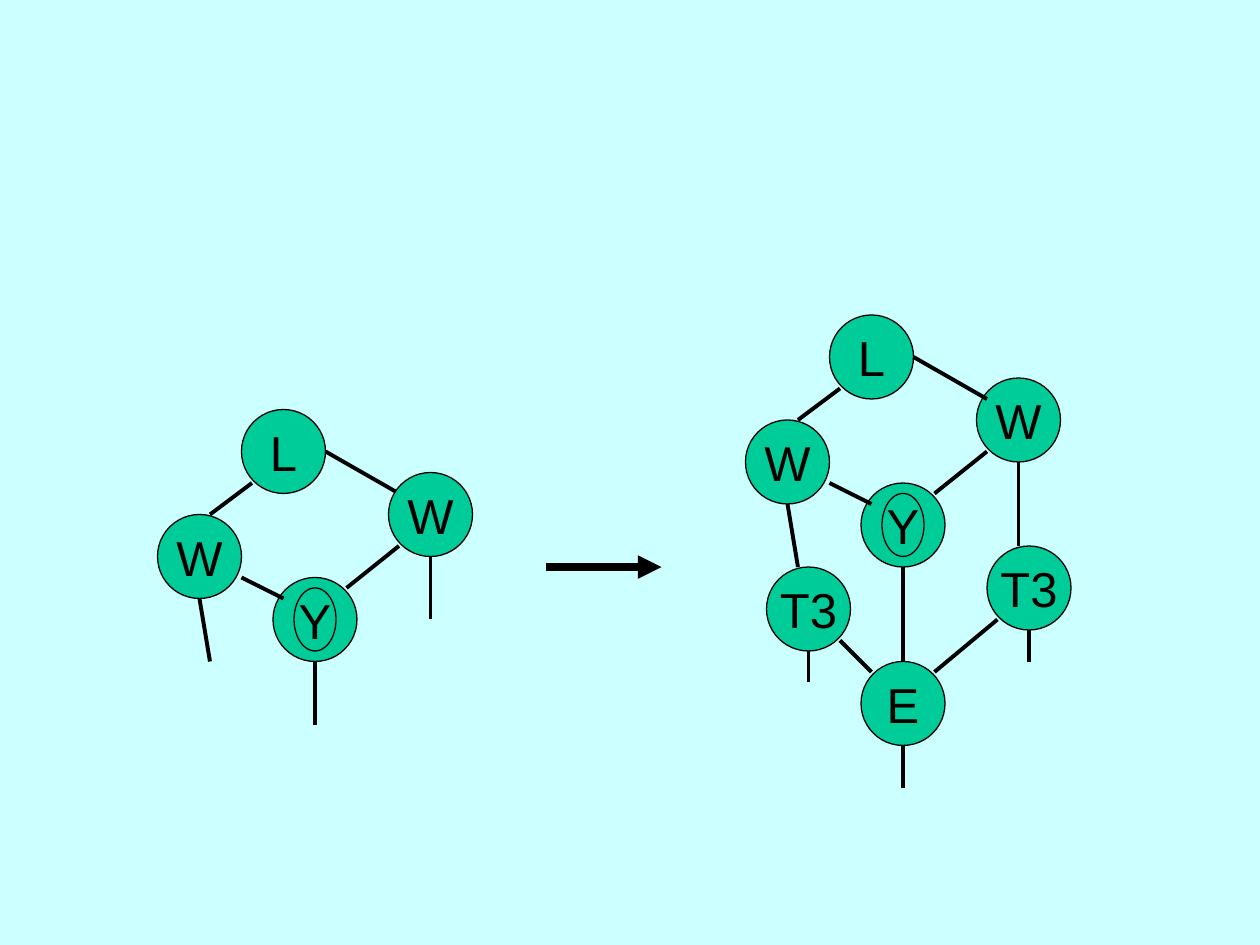
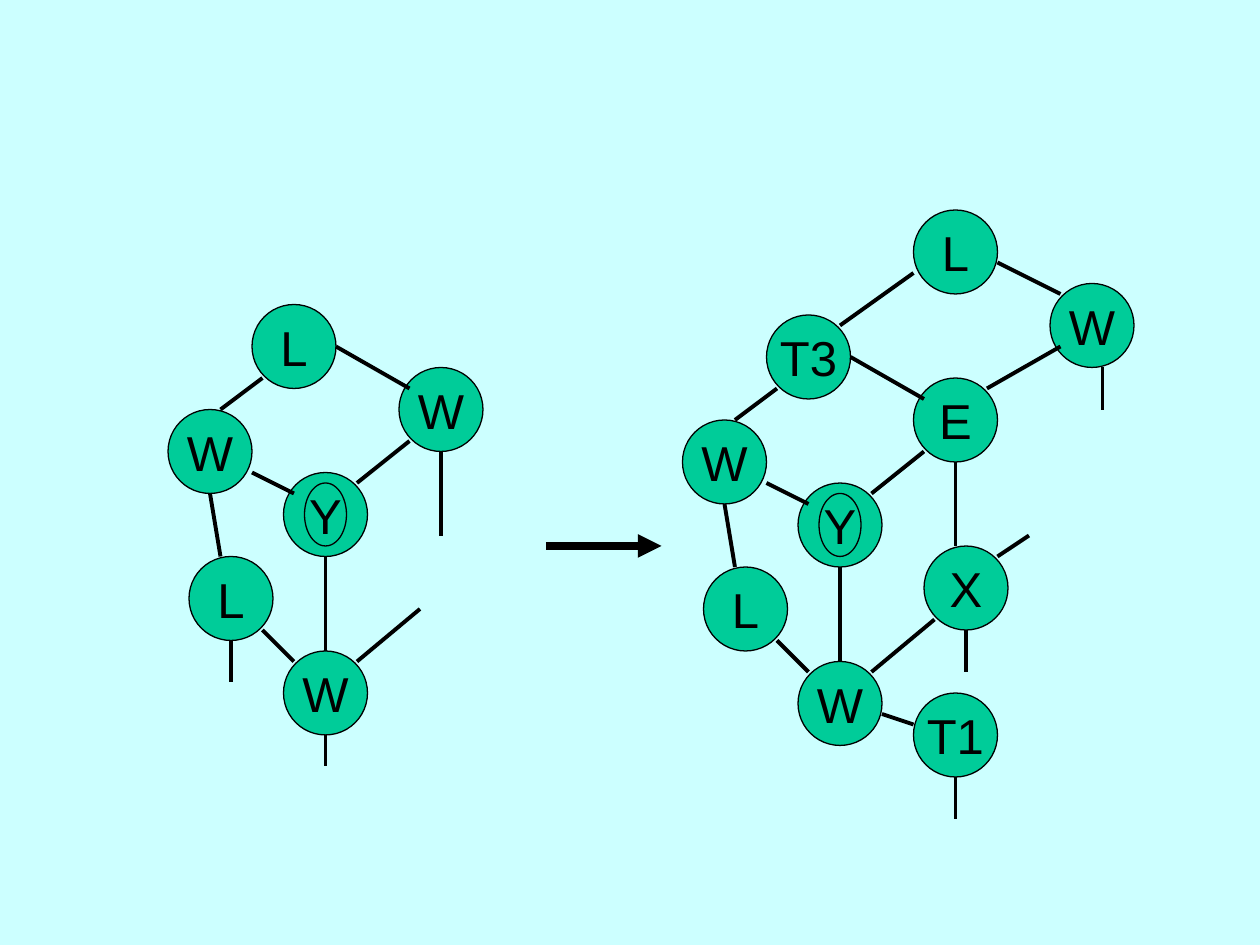
from lxml import etree
from pptx import Presentation
from pptx.dml.color import RGBColor
from pptx.enum.shapes import MSO_CONNECTOR, MSO_SHAPE
from pptx.enum.text import MSO_ANCHOR, PP_ALIGN
from pptx.oxml.ns import qn
from pptx.util import Inches, Pt

OVAL = MSO_SHAPE.OVAL
STRAIGHT = MSO_CONNECTOR.STRAIGHT
MIDDLE = MSO_ANCHOR.MIDDLE
CENTER = PP_ALIGN.CENTER

PALE_CYAN = RGBColor(0xCC, 0xFF, 0xFF)
GREEN = RGBColor(0x00, 0xCC, 0x99)
BLACK = RGBColor(0x00, 0x00, 0x00)

# Every position is a (column, row) on a grid of 120 by 90 cells
SLIDE_WIDTH, SLIDE_HEIGHT = Inches(10), Inches(7.5)
COLUMNS = 120
CELL = SLIDE_WIDTH // COLUMNS
NODE = 8

# Links of the graphs, relative to the top node
TOP_LINK = ((8, 4), (15, 8))
DIAMOND_LINKS = [
    ((-3, 10), (1, 7)),
    ((10, 17), (15, 13)),
    ((0, 16), (4, 18)),
    ((-4, 18), (-3, 24)),
]
LOWER_LINKS = [
    ((10, 34), (16, 29)),
    ((1, 31), (4, 34)),
]


def add_text(shape, text, size=28, font="Arial", color=BLACK, align=CENTER):
    frame = shape.text_frame
    frame.word_wrap = False
    frame.vertical_anchor = MIDDLE
    para = frame.paragraphs[0]
    para.alignment = align
    span = para.add_run()
    span.text = text
    span.font.size = Pt(size)
    span.font.name = font
    span.font.color.rgb = color


def add_node(group, column, row, label="", width=NODE, height=NODE):
    node = group.shapes.add_shape(
        OVAL, column * CELL, row * CELL, width * CELL, height * CELL)
    node.shadow.inherit = False
    node.fill.solid()
    node.fill.fore_color.rgb = GREEN
    node.line.color.rgb = BLACK
    node.line.width = Pt(0.75)
    if label:
        add_text(node, label)


def add_link(group, start, end, origin=(0, 0), weight=2.25, arrow=False):
    left, top = origin
    link = group.shapes.add_connector(
        STRAIGHT,
        (left + start[0]) * CELL, (top + start[1]) * CELL,
        (left + end[0]) * CELL, (top + end[1]) * CELL)
    link.line.color.rgb = BLACK
    link.line.width = Pt(weight)
    properties = link._element.spPr
    if arrow:
        etree.SubElement(properties.find(qn("a:ln")), qn("a:tailEnd"), type="triangle")
    etree.SubElement(properties, qn("a:effectLst"))


def add_stub(group, column, row, length, origin=(0, 0)):
    """Add a vertical line that runs down from a node."""
    add_link(group, (column, row), (column, row + length), origin)


def add_arrow(group, row):
    add_link(group, (52, row), (63, row), weight=4.5, arrow=True)


def add_diamond(group, origin, top="L", right="W", center_leg=9, right_leg=8,
                top_link_behind=False):
    """Add four joined nodes, with the marked one (Y) at the bottom."""
    left, up = origin
    if top_link_behind:
        add_link(group, *TOP_LINK, origin)
    for column, row, label in [(0, 0, top), (14, 6, right), (3, 16, ""), (-8, 10, "W")]:
        add_node(group, left + column, up + row, label)
    if not top_link_behind:
        add_link(group, *TOP_LINK, origin)
    for start, end in DIAMOND_LINKS:
        add_link(group, start, end, origin)
    add_stub(group, 7, 24, center_leg, origin)
    add_stub(group, 18, 14, right_leg, origin)
    add_node(group, left + 5, up + 17, "Y", width=4, height=6)


def add_lower_nodes(group, origin, left_label, bottom_label, right_label=""):
    """Add the nodes that hang below a diamond, and their links."""
    left, up = origin
    add_node(group, left - 6, up + 24, left_label)
    add_node(group, left + 3, up + 33, bottom_label)
    if right_label:
        add_node(group, left + 15, up + 22, right_label)
    for start, end in LOWER_LINKS:
        add_link(group, start, end, origin)


def add_page(deck):
    """Return the two groups, before and after, of a new page."""
    page = deck.slides.add_slide(deck.slide_layouts[6])
    return page.shapes.add_group_shape(), page.shapes.add_group_shape()


def build_first_production(deck):
    before, after = add_page(deck)
    add_diamond(before, (23, 39), center_leg=6, right_leg=6, top_link_behind=True)

    add_arrow(after, 54)
    origin = (79, 30)
    add_diamond(after, origin)
    add_lower_nodes(after, origin, "T3", "E", "T3")
    for column, row, length in [(-2, 32, 3), (7, 41, 4), (19, 30, 3)]:
        add_stub(after, column, row, length, origin)


def build_second_production(deck):
    before, after = add_page(deck)
    origin = (24, 29)
    add_diamond(before, origin)
    add_lower_nodes(before, origin, "L", "W")
    for column, row, length in [(-2, 32, 4), (7, 41, 3)]:
        add_stub(before, column, row, length, origin)

    add_arrow(after, 52)
    origin = (73, 30)
    add_diamond(after, origin, top="T3", right="E")
    add_lower_nodes(after, origin, "L", "W", "X")

    # Nodes around the diamond
    for column, row, label in [(87, 20, "L"), (100, 27, "W"), (87, 66, "T1")]:
        add_node(after, column, row, label)
    for start, end in [
        ((80, 31), (87, 26)),
        ((94, 37), (101, 33)),
        ((95, 25), (101, 28)),
        ((95, 53), (98, 51)),
        ((84, 68), (87, 69)),
    ]:
        add_link(after, start, end)
    for column, row in [(105, 35), (92, 60), (91, 74)]:
        add_stub(after, column, row, 4)


def main():
    deck = Presentation()
    deck.slide_width, deck.slide_height = SLIDE_WIDTH, SLIDE_HEIGHT
    background = deck.slide_master.background.fill
    background.solid()
    background.fore_color.rgb = PALE_CYAN
    build_first_production(deck)
    build_second_production(deck)
    deck.save("out.pptx")


if __name__ == "__main__":
    main()
